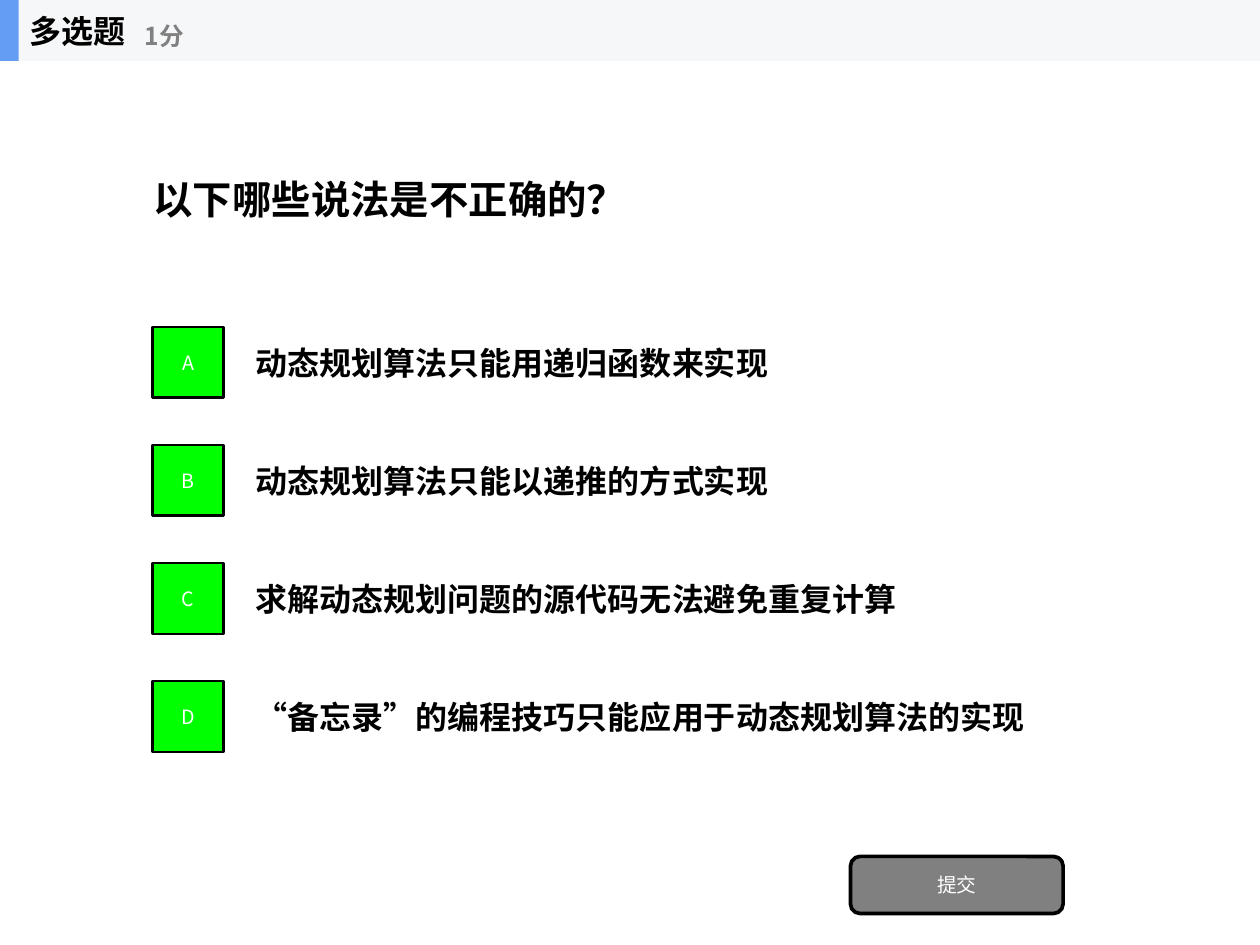
from dataclasses import dataclass

from pptx import Presentation
from pptx.dml.color import RGBColor
from pptx.enum.shapes import MSO_SHAPE
from pptx.enum.text import MSO_ANCHOR, MSO_AUTO_SIZE, PP_ALIGN
from pptx.oxml.ns import qn
from pptx.util import Emu, Pt
from lxml.etree import SubElement


@dataclass(frozen=True)
class Theme:
    font: str = "Noto Sans CJK SC"
    black: str = "000000"
    white: str = "FFFFFF"
    gray: str = "808080"
    green: str = "00FF00"
    band: str = "F6F7F8"
    accent: str = "639EF4"
    question_size: int = 32
    body_size: int = 26
    score_size: int = 20
    button_size: int = 16


theme = Theme()
PX = 9144000 // 900 * 10 // 10 * 1  # EMU per px at 90 px to the inch
INSET = 5


def write(box, text, *, size, color=theme.black, bold=True,
          align=PP_ALIGN.LEFT, left_inset=INSET):
    frame = box.text_frame
    frame.word_wrap = True
    frame.auto_size = MSO_AUTO_SIZE.NONE
    frame.vertical_anchor = MSO_ANCHOR.MIDDLE
    frame.margin_left = Emu(left_inset * PX)
    frame.margin_right = frame.margin_top = frame.margin_bottom = Emu(INSET * PX)
    para = frame.paragraphs[0]
    para.alignment = align
    span = para.add_run()
    span.text = text
    span.font.name = theme.font
    span.font.size = Pt(size)
    span.font.bold = bold
    span.font.color.rgb = RGBColor.from_string(color)
    # East Asian text takes its font from a separate element
    properties = span._r.get_or_add_rPr()
    properties.set("lang", "zh-CN")
    SubElement(properties, qn("a:ea")).set("typeface", theme.font)


def add_block(shapes, kind, area, fill, line_width=0):
    block = shapes.add_shape(kind, *[Emu(v * PX) for v in area])
    block.shadow.inherit = False
    block.fill.solid()
    block.fill.fore_color.rgb = RGBColor.from_string(fill)
    if line_width:
        block.line.color.rgb = RGBColor.from_string(theme.black)
        block.line.width = Pt(line_width)
    else:
        block.line.fill.background()
    return block


PX = 10160
deck = Presentation()
deck.slide_width, deck.slide_height = Emu(1280 * PX), Emu(960 * PX)
page = deck.slides.add_slide(deck.slide_layouts[5])

# Question
question = page.shapes.title
question.left, question.top = Emu(142 * PX), Emu(178 * PX)
question.width, question.height = Emu(1024 * PX), Emu(48 * PX)
write(question, "以下哪些说法是不正确的？", size=theme.question_size, left_inset=14)

# Answer options with their letter badges
options = [
    "动态规划算法只能用递归函数来实现",
    "动态规划算法只能以递推的方式实现",
    "求解动态规划问题的源代码无法避免重复计算",
    "“备忘录”的编程技巧只能应用于动态规划算法的实现",
]
for row, (letter, option) in enumerate(zip("ABCD", options)):
    top = 323 + 120 * row
    box = page.shapes.add_textbox(*[Emu(v * PX) for v in (255, top, 896, 90)])
    write(box, option, size=theme.body_size)
    badge = add_block(page.shapes, MSO_SHAPE.RECTANGLE,
                      (155, top + 9, 72, 72), theme.green, line_width=2)
    write(badge, letter, size=theme.button_size, color=theme.white,
          bold=False, align=PP_ALIGN.CENTER)

# Submit button
button = add_block(page.shapes, MSO_SHAPE.ROUNDED_RECTANGLE,
                   (864, 870, 216, 58), theme.gray, line_width=3)
write(button, "提交", size=theme.button_size, color=theme.white,
      bold=False, align=PP_ALIGN.CENTER)

# Header band with question type and score
header = page.shapes.add_group_shape()
add_block(header.shapes, MSO_SHAPE.RECTANGLE, (0, 0, 1280, 62), theme.band)
add_block(header.shapes, MSO_SHAPE.RECTANGLE, (0, 0, 19, 62), theme.accent)
for text, area, size, color in [
    ("多选题", (25, 0, 187, 62), theme.body_size, theme.black),
    ("1分", (142, 11, 225, 50), theme.score_size, theme.gray),
]:
    box = header.shapes.add_textbox(*[Emu(v * PX) for v in area])
    write(box, text, size=size, color=color)

deck.save("out.pptx")
